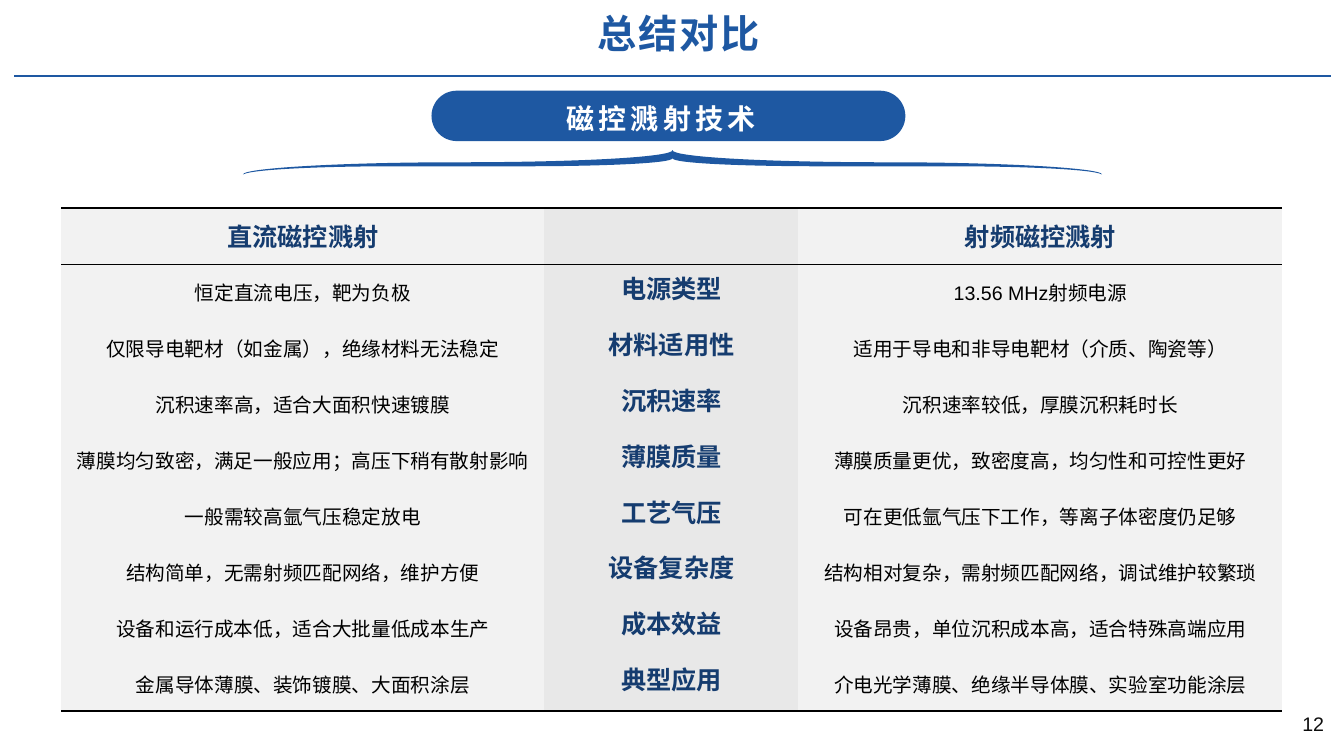
from lxml.etree import SubElement
from pptx import Presentation
from pptx.dml.color import RGBColor
from pptx.enum.shapes import MSO_CONNECTOR, MSO_SHAPE
from pptx.enum.text import MSO_ANCHOR, PP_ALIGN
from pptx.oxml.ns import qn
from pptx.util import Inches, Pt

COLORS = {"blue": "1E58A2", "navy": "153C6F", "black": "000000", "ink": "0D0D0D",
          "white": "FFFFFF", "light": "F2F2F2", "gray": "E8E8E8"}
RGB = {name: RGBColor.from_string(code) for name, code in COLORS.items()}


def write(frame, text, size=14, color="black", bold=False, align=PP_ALIGN.CENTER,
          space=0, lead=None):
    frame.word_wrap = True
    para = frame.paragraphs[0]
    para.alignment = align
    para.line_spacing = lead
    run = para.add_run()
    run.text = text
    font = run.font
    font.name, font.size, font.bold = "Arial", Pt(size), bold
    font.color.rgb = RGB[color]
    if space:
        run._r.get_or_add_rPr().set("spc", str(int(space * 100)))


deck = Presentation()
deck.slide_width, deck.slide_height = Inches(13.33), Inches(7.5)
slide = deck.slides.add_slide(deck.slide_layouts[6])
shapes = slide.shapes

rule = shapes.add_connector(MSO_CONNECTOR.STRAIGHT, Inches(0.14), Inches(0.75),
                            Inches(13.2), Inches(0.75))
rule.line.color.rgb = RGB["blue"]
rule.line.width = Pt(1.5)
SubElement(rule.element.spPr, qn("a:effectLst"))

pill = shapes.add_shape(MSO_SHAPE.ROUNDED_RECTANGLE, Inches(4.28), Inches(0.9),
                        Inches(4.7), Inches(0.5))
pill.adjustments[0] = 0.5

mid, left, top = 6.67, 2.41, 1.49
upper = [(2.41, 1.73), (2.41, 1.67), (3.36, 1.61), (4.54, 1.61),
         (5.71, 1.61), (6.67, 1.56), (6.67, 1.49)]
lower = [(6.67, 1.57), (6.67, 1.62), (5.99, 1.65), (5.17, 1.65),
         (3.91, 1.65), (3.18, 1.65), (2.58, 1.68), (2.44, 1.72)]
right = [(2 * mid - x, y) for x, y in upper[-2::-1] + lower[::-1]]
edge = upper + right + lower[1:]
steps, spot = [], 1
for count in (3, 3, 3, 3, 1, 3, 1, 3, 3, 1, 3):
    steps.append(edge[spot:spot + count])
    spot += count
pen = shapes.build_freeform(Inches(edge[0][0]), Inches(edge[0][1]))
pen.add_line_segments([(Inches(x), Inches(y)) for x, y in (step[-1] for step in steps)])
brace = pen.convert_to_shape()
for node, step in zip(brace.element.xpath(".//a:lnTo"), steps):
    if len(step) == 3:
        node.tag = qn("a:cubicBezTo")
        node.remove(node[0])
        for x, y in step:
            SubElement(node, qn("a:pt"), x=str(Inches(x - left)), y=str(Inches(y - top)))

for shape in (pill, brace):
    shape.shadow.inherit = False
    shape.fill.solid()
    shape.fill.fore_color.rgb = RGB["blue"]
    shape.line.fill.background()

labels = [
    ("12", (12.78, 7.01, 0.49, 0.4), dict(color="ink")),
    ("总结对比", (5.83, 0.04, 1.97, 0.57),
     dict(size=28, color="blue", bold=True, align=PP_ALIGN.LEFT, space=1.2)),
    ("磁控溅射技术", (5.52, 0.89, 2.28, 0.47),
     dict(size=20, color="white", bold=True, align=PP_ALIGN.LEFT, space=3, lead=1.2)),
]
for text, place, style in labels:
    box = shapes.add_textbox(*map(Inches, place))
    write(box.text_frame, text, **style)

rows = [
    ("直流磁控溅射", "", "射频磁控溅射"),
    ("恒定直流电压，靶为负极", "电源类型", "13.56 MHz射频电源"),
    ("仅限导电靶材（如金属），绝缘材料无法稳定", "材料适用性", "适用于导电和非导电靶材（介质、陶瓷等）"),
    ("沉积速率高，适合大面积快速镀膜", "沉积速率", "沉积速率较低，厚膜沉积耗时长"),
    ("薄膜均匀致密，满足一般应用；高压下稍有散射影响", "薄膜质量", "薄膜质量更优，致密度高，均匀性和可控性更好"),
    ("一般需较高氩气压稳定放电", "工艺气压", "可在更低氩气压下工作，等离子体密度仍足够"),
    ("结构简单，无需射频匹配网络，维护方便", "设备复杂度", "结构相对复杂，需射频匹配网络，调试维护较繁琐"),
    ("设备和运行成本低，适合大批量低成本生产", "成本效益", "设备昂贵，单位沉积成本高，适合特殊高端应用"),
    ("金属导体薄膜、装饰镀膜、大面积涂层", "典型应用", "介电光学薄膜、绝缘半导体膜、实验室功能涂层"),
]
last = len(rows) - 1
borders = {0: {"lnT": 1.5, "lnB": 0.75}, 1: {"lnT": 0.75}, last: {"lnB": 1.5}}

frame = shapes.add_table(len(rows), 3, Inches(0.61), Inches(2.06), Inches(12.11), Inches(5))
frame.element.xpath(".//a:tableStyleId")[0].text = "{2D5ABB26-0587-4C30-8999-92F81FD0307C}"
table = frame.table
table.first_row = table.horz_banding = False
for col, width in zip(table.columns, (4.79, 2.52, 4.8)):
    col.width = Inches(width)

for i, row in enumerate(rows):
    table.rows[i].height = Inches((5 - 0.56) / last if i else 0.56)
    for j, text in enumerate(row):
        cell = table.cell(i, j)
        head = i == 0 or j == 1
        for side in ("lnL", "lnR", "lnT", "lnB"):
            width = borders.get(i, {}).get(side)
            line = SubElement(cell._tc.get_or_add_tcPr(), qn("a:" + side))
            if width:
                line.set("w", str(Pt(width)))
                paint = SubElement(line, qn("a:solidFill"))
                SubElement(paint, qn("a:srgbClr"), val=COLORS["black"])
            else:
                SubElement(line, qn("a:noFill"))
        cell.fill.solid()
        cell.fill.fore_color.rgb = RGB["gray" if j == 1 else "light"]
        if i == 0 or j != 1:
            cell.vertical_anchor = MSO_ANCHOR.MIDDLE
        if not head:
            cell.margin_left = cell.margin_right = Inches(0.08)
            cell.margin_top = cell.margin_bottom = Inches(0.04)
        if text:
            write(cell.text_frame, text, size=18 if head else 14,
                  color="navy" if head else "black", bold=head)

deck.save("out.pptx")
